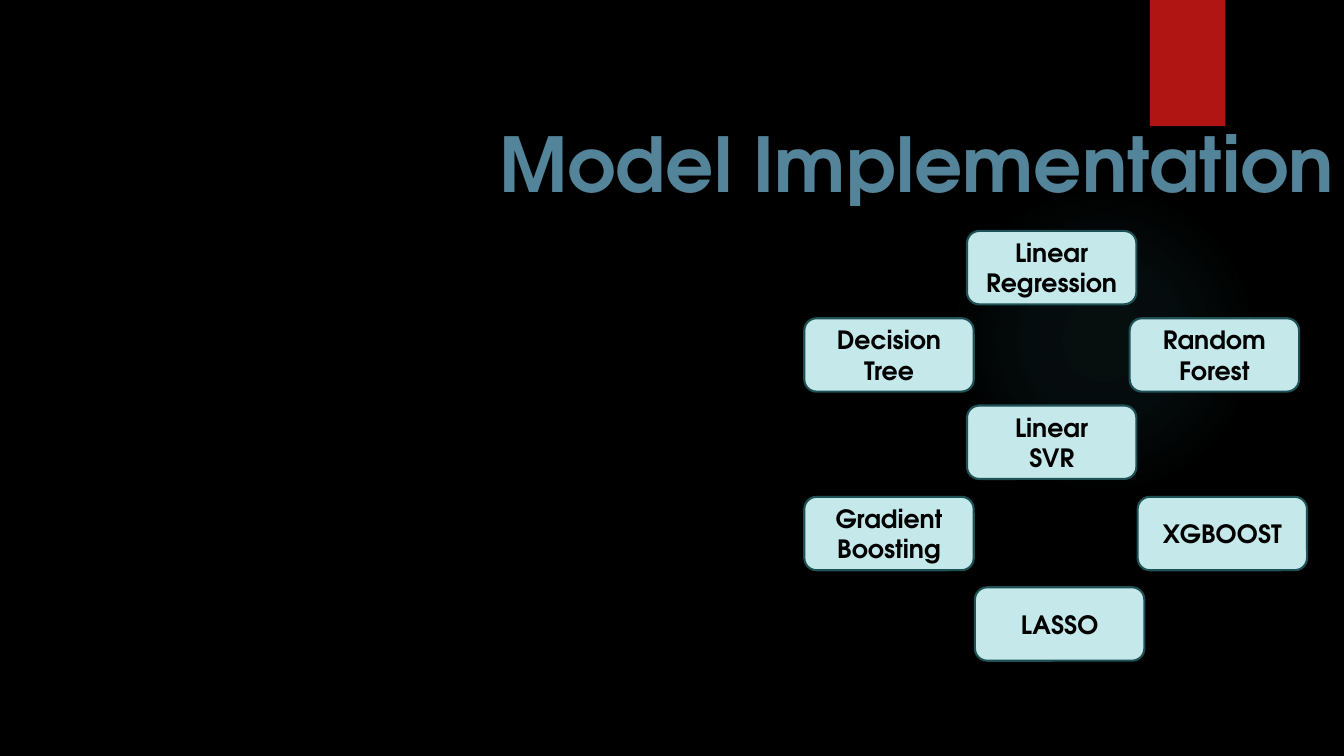
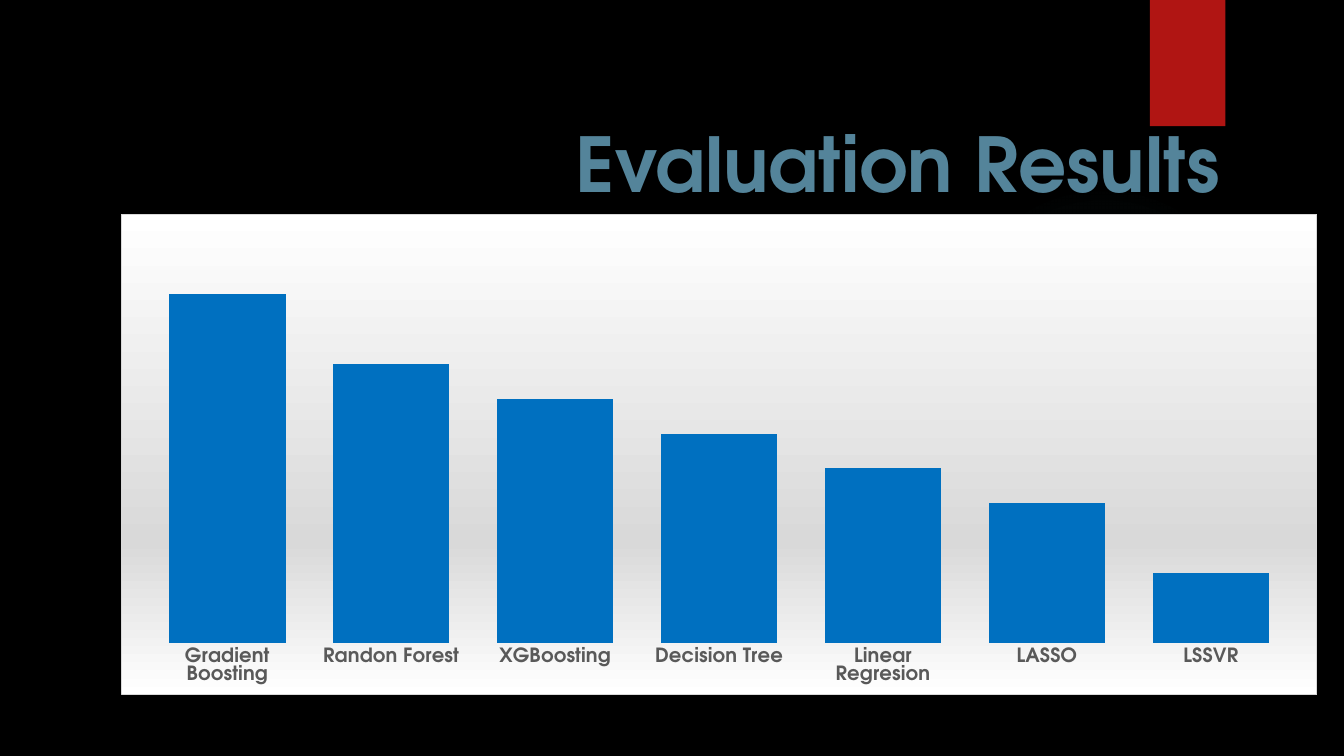
import lxml.etree
import pptx
import pptx.chart.data
import pptx.dml.color
import pptx.enum.chart
import pptx.enum.shapes
import pptx.enum.text
import pptx.oxml
import pptx.oxml.ns
import pptx.util

Cm, Pt = pptx.util.Cm, pptx.util.Pt
rgb = pptx.dml.color.RGBColor.from_string
MSO_SHAPE = pptx.enum.shapes.MSO_SHAPE
CENTER = pptx.enum.text.PP_ALIGN.CENTER
FONT = "TeX Gyre Adventor"
NAMESPACES = pptx.oxml.ns.nsdecls("a", "c")
COLORS = {
    "background": "000000",
    "glow": "50B9C1",
    "tab": "B01513",
    "title": "54849A",
    "model": "C5E8EA",
    "model line": "1E5155",
    "model text": "000000",
    "bar": "0070C0",
    "axis text": "595959",
    "chart light": "FFFFFF",
    "chart dark": "D9D9D9",
}


def gradient(stops, direction):
    """Return a gradFill element; stops are (position %, colour, opacity %)."""
    stop_xml = "".join(
        f'<a:gs pos="{position * 1000}"><a:srgbClr val="{color}">'
        f'<a:alpha val="{opacity * 1000}"/></a:srgbClr></a:gs>'
        for position, color, opacity in stops
    )
    return pptx.oxml.parse_xml(
        f'<a:gradFill {NAMESPACES} rotWithShape="1"><a:gsLst>{stop_xml}</a:gsLst>{direction}</a:gradFill>'
    )


def add_themed_slide(title, left, width):
    """Add a black slide with the glow, the red tab and an outlined title."""
    slide = presentation.slides.add_slide(presentation.slide_layouts[6])
    slide.background.fill.solid()
    slide.background.fill.fore_color.rgb = rgb(COLORS["background"])

    glow = slide.shapes.add_shape(MSO_SHAPE.OVAL, Cm(23.9), Cm(4.65), Cm(7.82), Cm(7.82))
    glow.shadow.inherit = False
    glow.line.fill.background()
    center = '<a:path path="circle"><a:fillToRect l="50000" t="50000" r="50000" b="50000"/></a:path>'
    glow_stops = [(position, COLORS["glow"], opacity) for position, opacity in ((0, 7), (36, 6), (69, 0))]
    geometry = glow.element.spPr.find(pptx.oxml.ns.qn("a:prstGeom"))
    geometry.addnext(gradient(glow_stops, center))

    tab = slide.shapes.add_shape(MSO_SHAPE.RECTANGLE, Cm(28.98), 0, Cm(1.9), Cm(3.18))
    tab.shadow.inherit = False
    tab.fill.solid()
    tab.fill.fore_color.rgb = rgb(COLORS["tab"])
    tab.line.fill.background()

    heading = slide.shapes.add_textbox(Cm(left), Cm(2.82), Cm(width), Cm(2.57)).text_frame
    heading.word_wrap = False
    heading.auto_size = pptx.enum.text.MSO_AUTO_SIZE.SHAPE_TO_FIT_TEXT
    heading.text = title
    heading.paragraphs[0].alignment = CENTER
    title_run = heading.paragraphs[0].runs[0]
    title_run.font.name = FONT
    title_run.font.size = Pt(54)
    title_run.font.bold = True
    title_run.font.color.rgb = rgb(COLORS["title"])
    outline = pptx.oxml.parse_xml(
        f'<a:ln {NAMESPACES} w="{Pt(0.75)}"><a:solidFill>'
        f'<a:srgbClr val="{COLORS["background"]}"/></a:solidFill></a:ln>'
    )
    title_run.font.fill  # makes sure the run has its properties
    title_run._r.get_or_add_rPr().insert(0, outline)
    return slide


presentation = pptx.Presentation()
presentation.slide_width = Cm(33.87)
presentation.slide_height = Cm(19.05)

# Model Implementation
models_slide = add_themed_slide("Model Implementation", 12.22, 21.77)
LEFT, MIDDLE, RIGHT = (20.27 + 4.1 * column for column in range(3))
LOWER_SHIFT = 0.2
models = [
    ("Linear Regression", MIDDLE, 5.82),
    ("Random\nForest", RIGHT, 8.02),
    ("Decision\nTree", LEFT, 8.02),
    ("Linear\nSVR", MIDDLE, 10.22),
    ("Gradient\nBoosting", LEFT, 12.52),
    ("XGBOOST", RIGHT + LOWER_SHIFT, 12.52),
    ("LASSO", MIDDLE + LOWER_SHIFT, 14.8),
]
for name, left, top in models:
    model = models_slide.shapes.add_shape(
        MSO_SHAPE.ROUNDED_RECTANGLE, Cm(left), Cm(top), Cm(4.27), Cm(1.85)
    )
    model.shadow.inherit = False
    model.fill.solid()
    model.fill.fore_color.rgb = rgb(COLORS["model"])
    model.line.color.rgb = rgb(COLORS["model line"])
    model.line.width = Pt(1.5)
    model.text_frame.text = name
    model.text_frame.vertical_anchor = pptx.enum.text.MSO_ANCHOR.MIDDLE
    for paragraph in model.text_frame.paragraphs:
        paragraph.alignment = CENTER
        label = paragraph.runs[0].font
        label.name = FONT
        label.size = Pt(18)
        label.bold = True
        label.color.rgb = rgb(COLORS["model text"])

# Evaluation Results
results_slide = add_themed_slide("Evaluation Results", 14.15, 16.94)
scores = {
    "Gradient Boosting": 100,
    "Randon Forest": 80,
    "XGBoosting": 70,
    "Decision Tree": 60,
    "Linear Regresion": 50,
    "LASSO": 40,
    "LSSVR": 20,
}
score_data = pptx.chart.data.CategoryChartData()
score_data.categories = list(scores)
score_data.add_series("Series 1", list(scores.values()))
results = results_slide.shapes.add_chart(
    pptx.enum.chart.XL_CHART_TYPE.COLUMN_CLUSTERED,
    Cm(3.05), Cm(5.38), Cm(30.15), Cm(12.14), score_data,
).chart
results.has_title = False
results.has_legend = False
results.font.name = FONT
results.font.size = Pt(10)
results.font.color.rgb = rgb(COLORS["chart light"])

bars = results.plots[0]
bars.gap_width = 41
bars.vary_by_categories = False
bars.series[0].format.fill.solid()
bars.series[0].format.fill.fore_color.rgb = rgb(COLORS["bar"])

score_axis = results.value_axis
score_axis.minimum_scale = 0
score_axis.maximum_scale = 120
score_axis.has_major_gridlines = False
score_axis.visible = False

model_axis = results.category_axis
model_axis.major_tick_mark = pptx.enum.chart.XL_TICK_MARK.NONE
model_axis.format.line.fill.background()
axis_font = model_axis.tick_labels.font
axis_font.name = FONT
axis_font.size = Pt(14)
axis_font.bold = True
axis_font.color.rgb = rgb(COLORS["axis text"])

chart_area = pptx.oxml.parse_xml(
    f'<c:spPr {NAMESPACES}><a:ln w="{Pt(0.75)}"><a:solidFill>'
    f'<a:srgbClr val="{COLORS["chart dark"]}"/></a:solidFill></a:ln></c:spPr>'
)
area_stops = [
    (0, COLORS["chart light"], 100),
    (68, COLORS["chart dark"], 100),
    (100, COLORS["chart light"], 100),
]
chart_area.insert(0, gradient(area_stops, '<a:lin ang="5400000" scaled="0"/>'))
results.element.find(pptx.oxml.ns.qn("c:chart")).addnext(chart_area)

presentation.save("out.pptx")
